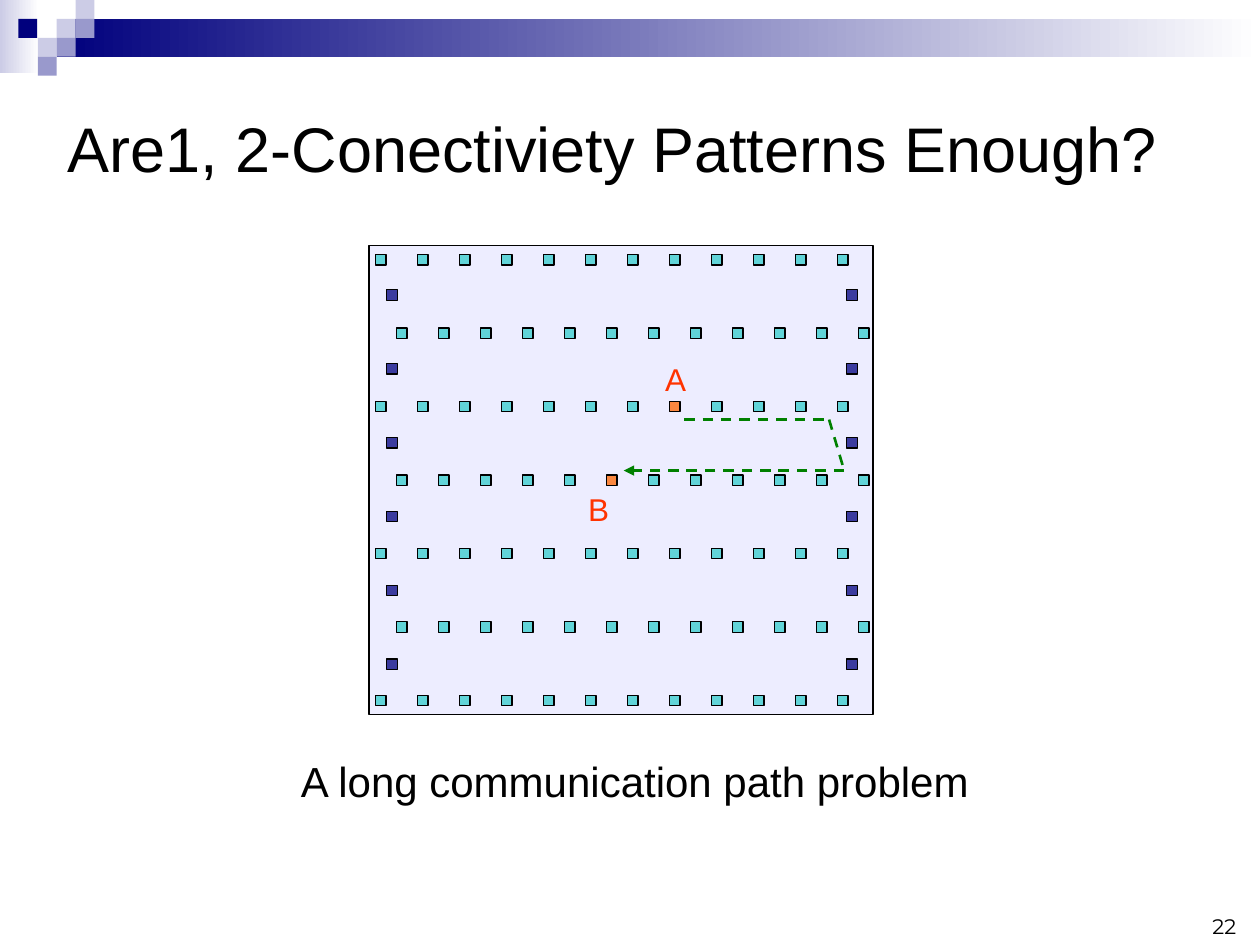
from lxml import etree
from pptx import Presentation
from pptx.dml.color import RGBColor
from pptx.enum.dml import MSO_LINE
from pptx.enum.shapes import MSO_CONNECTOR, MSO_SHAPE
from pptx.enum.text import MSO_ANCHOR, PP_ALIGN
from pptx.oxml.ns import qn
from pptx.util import Inches, Pt

RECT = MSO_SHAPE.RECTANGLE
STRAIGHT = MSO_CONNECTOR.STRAIGHT
DASH = MSO_LINE.DASH
TOP, MIDDLE, BOTTOM = MSO_ANCHOR.TOP, MSO_ANCHOR.MIDDLE, MSO_ANCHOR.BOTTOM
LEFT, RIGHT = PP_ALIGN.LEFT, PP_ALIGN.RIGHT

BLACK = RGBColor(0x00, 0x00, 0x00)
WHITE = RGBColor(0xFF, 0xFF, 0xFF)
NAVY = RGBColor(0x00, 0x00, 0x7D)
PALE = RGBColor(0xCC, 0xCC, 0xE6)
LILAC = RGBColor(0x99, 0x99, 0xCC)
FIELD = RGBColor(0x99, 0x99, 0xFF)
TEAL = RGBColor(0x33, 0xCC, 0xCC)
DARK = RGBColor(0x00, 0x00, 0x80)
ORANGE = RGBColor(0xFF, 0x66, 0x00)
RED = RGBColor(0xFF, 0x33, 0x00)
GREEN = RGBColor(0x00, 0x80, 0x00)

COLS, ROWS = 100, 75
NODE = 0.83
STEP_X, STEP_Y = 10 / 3, 5.83


class Board:
    """Draws styled elements on one slide, placed in grid columns and rows."""

    def __init__(self, deck, font="Arial"):
        self.slide = deck.slides.add_slide(deck.slide_layouts[6])
        self.shapes = self.slide.shapes
        self.col = deck.slide_width / COLS
        self.row = deck.slide_height / ROWS
        self.font = font

    def place(self, x, y, w, h):
        return (round(x * self.col), round(y * self.row),
                round(w * self.col), round(h * self.row))

    def block(self, x, y, w, h, color, fade=None):
        shape = self.shapes.add_shape(RECT, *self.place(x, y, w, h))
        shape.shadow.inherit = False
        shape.line.fill.background()
        if fade is None:
            shape.fill.solid()
            shape.fill.fore_color.rgb = color
        else:
            shape.fill.gradient()
            shape.fill.gradient_angle = 0
            for stop, tone in zip(shape.fill.gradient_stops, (color, fade)):
                stop.color.rgb = tone
        return shape

    def glass(self, x, y, w, h, color, alpha):
        shape = self.block(x, y, w, h, color)
        tone = shape.fill._xPr.find(".//" + qn("a:srgbClr"))
        etree.SubElement(tone, qn("a:alpha"), val=str(alpha * 1000))
        shape.line.color.rgb = BLACK
        shape.line.width = Pt(0.75)

    def node(self, x, y, color):
        self.glass(x, y, NODE, NODE, color, 75)

    def text(self, x, y, w, h, words, size, color=BLACK, font=None,
             align=LEFT, anchor=TOP, wrap=True):
        frame = self.shapes.add_textbox(*self.place(x, y, w, h)).text_frame
        frame.word_wrap = wrap
        frame.vertical_anchor = anchor
        para = frame.paragraphs[0]
        para.alignment = align
        run = para.add_run()
        run.text = words
        run.font.name = font or self.font
        run.font.size = Pt(size)
        run.font.color.rgb = color

    def line(self, start, end, arrow=False):
        link = self.shapes.add_connector(STRAIGHT, *self.place(*start, *end))
        link.line.color.rgb = GREEN
        link.line.width = Pt(1.5)
        link.line.dash_style = DASH
        props = link._element.spPr
        if arrow:
            etree.SubElement(props.find(qn("a:ln")), qn("a:tailEnd"), type="triangle")
        etree.SubElement(props, qn("a:effectLst"))


def main():
    deck = Presentation()
    deck.slide_width, deck.slide_height = Inches(10), Inches(7.5)
    board = Board(deck)

    board.block(0, 0, 3.1, 5.8, PALE, WHITE)
    board.block(4.5, 1.5, 95.5, 3, NAVY, WHITE)
    for x, y, color in ((4.5, 1.5, PALE), (6, 0, PALE), (6, 1.5, LILAC),
                        (3, 3, PALE), (1.45, 1.5, NAVY), (4.5, 3, LILAC),
                        (3, 4.5, LILAC)):
        board.block(x, y, 1.5, 1.5, color)

    board.text(4.4, 5.8, 92.5, 11.8, "Are1, 2-Conectiviety Patterns Enough?", 36,
               anchor=MIDDLE)
    board.glass(29.3, 19.5, 40, 37.2, FIELD, 17)

    ends = {(2, 7), (3, 5)}
    for row in range(7):
        for col in range(12):
            x = 29.8 + (col + row % 2 / 2) * STEP_X
            board.node(x, 20.2 + row * STEP_Y, ORANGE if (row, col) in ends else TEAL)
    for row in range(6):
        for x in (30.7, 67.2):
            board.node(x, 23 + row * 5.86, DARK)

    board.text(51.8, 28.1, 3.6, 4, "A", 18, RED, wrap=False)
    board.text(45.7, 38.4, 3.6, 4, "B", 18, RED, wrap=False)
    route = ((54.3, 33.3), (65.8, 33.3), (67, 37.35), (49.5, 37.35))
    for start, end in zip(route, route[1:]):
        board.line(start, end, arrow=end == route[-1])

    board.text(22.9, 59.5, 57.1, 5, "A long communication path problem", 24)
    board.text(75.8, 70, 23.3, 5, "22", 12, font="Montserrat", align=RIGHT,
               anchor=BOTTOM)
    deck.save("out.pptx")


if __name__ == "__main__":
    main()
